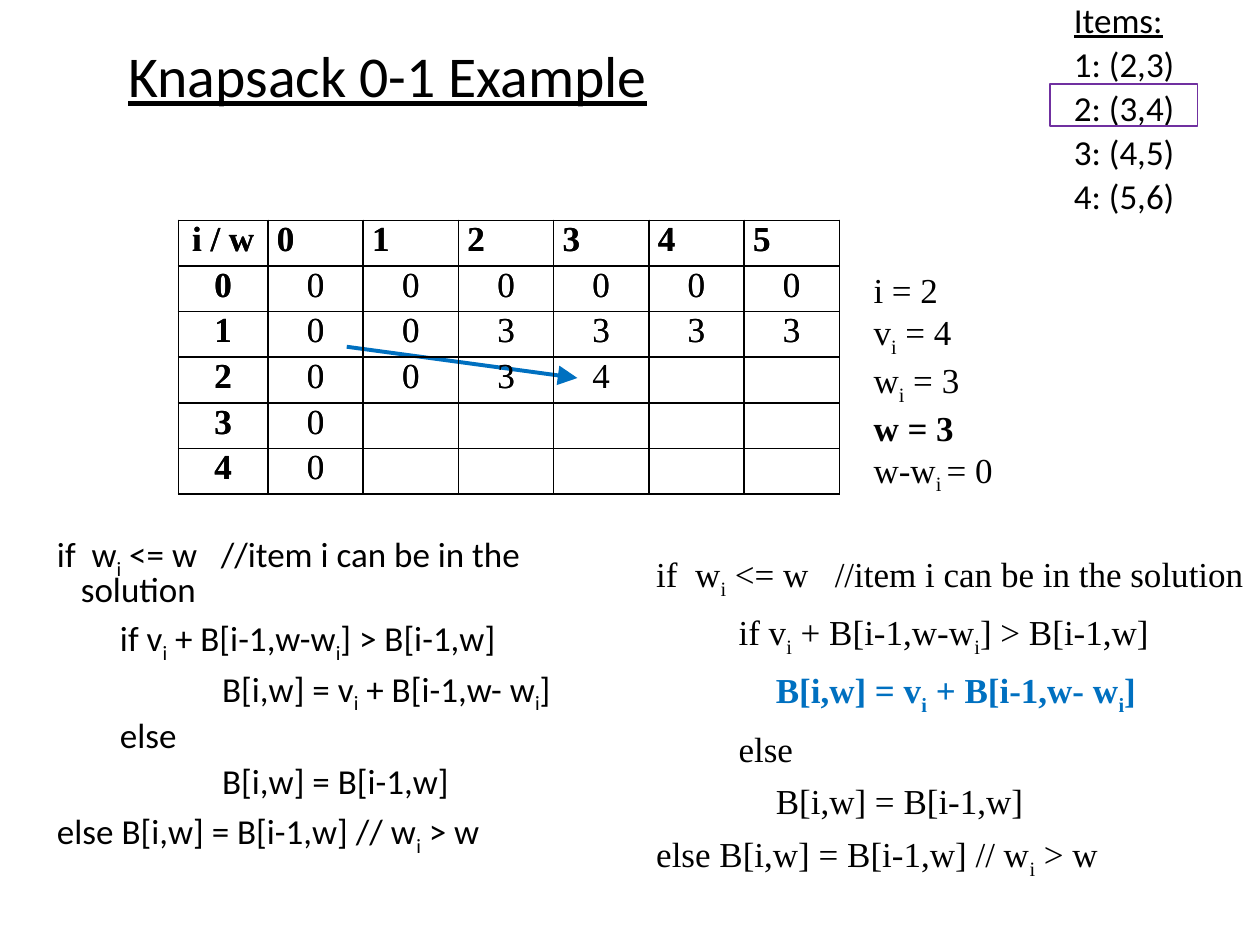
import pptx
import pptx.dml.color
import pptx.enum.shapes
import pptx.enum.text
import pptx.oxml
import pptx.oxml.ns
import pptx.util
from lxml import etree

Cm = pptx.util.Cm
Pt = pptx.util.Pt
ALIGN = pptx.enum.text.PP_ALIGN
ANCHOR = pptx.enum.text.MSO_ANCHOR

COLORS = {"text": "000000", "step": "0070C0", "item": "7030A0"}
SANS, SERIF = "Calibri", "Times New Roman"
BODY_SIZE = 20

# A line is (text, nesting level, style); a part between tildes is a subscript.
TITLE = [("Knapsack 0-1 Example", 0, "underline")]
ITEMS = [
    ("Items:", 0, "underline"),
    ("1: (2,3)", 0, ""),
    ("2: (3,4)", 0, ""),
    ("3: (4,5)", 0, ""),
    ("4: (5,6)", 0, ""),
]
STATE = [
    ("i = 2", 0, ""),
    ("v~i~ = 4", 0, ""),
    ("w~i~ = 3", 0, ""),
    ("w = 3", 0, "bold"),
    ("w-w~i ~= 0", 0, ""),
]
RULE = [
    ("if  w~i~ <= w   //item i can be in the solution", 0, ""),
    ("if v~i~ + B[i-1,w-w~i~] > B[i-1,w]", 1, ""),
    ("B[i,w] = v~i~ + B[i-1,w- w~i~]", 2, ""),
    ("else", 1, ""),
    ("B[i,w] = B[i-1,w]", 2, ""),
    ("else B[i,w] = B[i-1,w] // w~i~ > w", 0, ""),
]
ACTIVE_RULE = [(text, level, "step" if number == 2 else "")
               for number, (text, level, _) in enumerate(RULE)]

GRID_BEFORE = [
    ["i / w", "0", "1", "2", "3", "4", "5"],
    ["0", "0", "0", "0", "0", "0", "0"],
    ["1", "0", "0", "3", "3", "3", "3"],
    ["2", "0", "0", "3", "", "", ""],
    ["3", "0", "", "", "", "", ""],
    ["4", "0", "", "", "", "", ""],
]
STEP_ROW, STEP_COLUMN, STEP_VALUE = 3, 4, "4"
GRID_AFTER = [list(values) for values in GRID_BEFORE]
GRID_AFTER[STEP_ROW][STEP_COLUMN] = STEP_VALUE
GRID_LEFT, GRID_TOP = 3.6, 4.44
LABEL_WIDTH, VALUE_WIDTH, ROW_HEIGHT = 1.8, 1.92, 0.92

# Indents are (left margin, first-line indent) in cm, one for each level.
TEXTS = [
    dict(lines=TITLE, at=(2.34, 0, 20.83, 3.18), font=SANS, size=33,
         spacing=0.9, anchor=ANCHOR.MIDDLE),
    dict(lines=RULE, at=(0.9, 10.7, 12.25, 6.98), font=SANS, spacing=0.8,
         before=7, indents=[(0.48, -0.48), (1.27, 0), (3.33, 0)]),
    dict(lines=ITEMS, at=(21.17, 0, 2.97, 4.65), font=SANS, spacing=0.8,
         before=6, indents=[(1.02, -0.79)]),
    dict(lines=STATE, at=(17.36, 5.29, 2.97, 4.52), font=SERIF, wrap=False),
    dict(lines=ACTIVE_RULE, at=(12.75, 11.01, 12.65, 6.98), font=SERIF,
         before=6, indents=[(1.02, -0.79), (1.89, 0), (2.64, 0)]),
]


def rgb(name):
    return pptx.dml.color.RGBColor.from_string(COLORS[name])


def add_span(para, text, font, size=BODY_SIZE, style="", subscript=False):
    span = para.add_run()
    span.text = text
    span.font.name = font
    span.font.size = Pt(size)
    span.font.bold = style in ("bold", "step")
    span.font.underline = style == "underline"
    span.font.color.rgb = rgb("step" if style == "step" else "text")
    if subscript:
        span._r.get_or_add_rPr().set("baseline", "-25000")


def add_text(page, lines, at, font, size=BODY_SIZE, spacing=1.0, before=0,
             indents=((0, 0),), anchor=ANCHOR.TOP, wrap=True):
    frame = page.shapes.add_textbox(*map(Cm, at)).text_frame
    frame.word_wrap = wrap
    frame.vertical_anchor = anchor
    for number, (text, level, style) in enumerate(lines):
        para = frame.add_paragraph() if number else frame.paragraphs[0]
        margin, indent = indents[level]
        properties = para._p.get_or_add_pPr()
        properties.set("marL", str(Cm(margin)))
        properties.set("indent", str(Cm(indent)))
        para.line_spacing = spacing
        para.space_before = Pt(before if number else 0)
        for position, part in enumerate(text.split("~")):
            add_span(para, part, font, size, style, position % 2 == 1)


def add_borders(cell):
    properties = cell._tc.get_or_add_tcPr()
    for position, side in enumerate(("lnL", "lnR", "lnT", "lnB")):
        properties.insert(position, pptx.oxml.parse_xml(
            f'<a:{side} {pptx.oxml.ns.nsdecls("a")} w="{Pt(1)}"><a:solidFill>'
            f'<a:srgbClr val="{COLORS["text"]}"/></a:solidFill></a:{side}>'))


def add_grid(page, grid):
    rows, columns = len(grid), len(grid[0])
    widths = [LABEL_WIDTH] + [VALUE_WIDTH] * (columns - 1)
    table = page.shapes.add_table(
        rows, columns, Cm(GRID_LEFT), Cm(GRID_TOP),
        Cm(sum(widths)), Cm(ROW_HEIGHT * rows)).table
    table.first_row = table.horz_banding = False
    for column, width in zip(table.columns, widths):
        column.width = Cm(width)
    for r, values in enumerate(grid):
        table.rows[r].height = Cm(ROW_HEIGHT)
        for c, value in enumerate(values):
            cell = table.cell(r, c)
            cell.fill.background()
            add_borders(cell)
            cell.margin_left = cell.margin_right = Cm(0.18)
            cell.margin_top = cell.margin_bottom = 0
            para = cell.text_frame.paragraphs[0]
            para.alignment = ALIGN.LEFT if r == 0 and c else ALIGN.CENTER
            if value:
                add_span(para, value, SERIF,
                         style="bold" if r == 0 or c == 0 else "")


def add_step_arrow(page):
    arrow = page.shapes.add_connector(
        pptx.enum.shapes.MSO_CONNECTOR.STRAIGHT,
        Cm(6.99), Cm(6.99), Cm(11.64), Cm(7.62))
    arrow.line.color.rgb = rgb("step")
    arrow.line.width = Pt(2.25)
    qn = pptx.oxml.ns.qn
    etree.SubElement(arrow.line._get_or_add_ln(), qn("a:tailEnd"),
                     type="triangle", w="lg", len="lg")
    etree.SubElement(arrow._element.spPr, qn("a:effectLst"))


def add_item_frame(page):
    frame = page.shapes.add_shape(
        pptx.enum.shapes.MSO_SHAPE.RECTANGLE,
        Cm(21.17), Cm(1.69), Cm(2.97), Cm(0.85))
    frame.shadow.inherit = False
    frame.fill.background()
    frame.line.color.rgb = rgb("item")
    frame.line.width = Pt(1)


def main():
    deck = pptx.Presentation()
    deck.slide_width, deck.slide_height = Cm(25.4), Cm(19.05)
    page = deck.slides.add_slide(deck.slide_layouts[6])
    for text in TEXTS:
        add_text(page, **text)
    add_grid(page, GRID_BEFORE)
    add_step_arrow(page)
    add_grid(page, GRID_AFTER)
    add_item_frame(page)
    deck.save("out.pptx")


if __name__ == "__main__":
    main()
